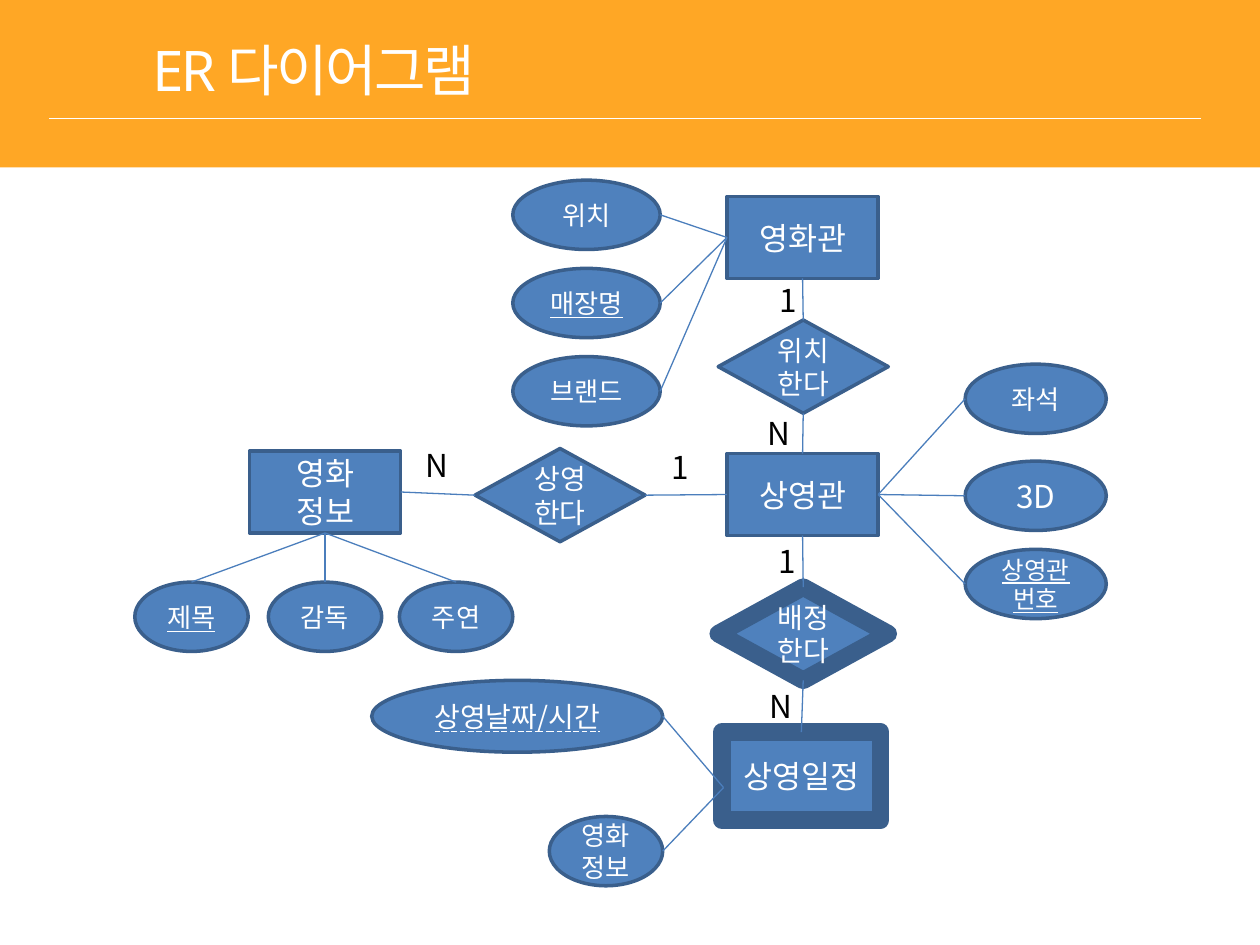
from lxml.etree import SubElement
from pptx import Presentation
from pptx.dml.color import RGBColor
from pptx.enum.shapes import MSO_CONNECTOR, MSO_SHAPE
from pptx.enum.text import MSO_ANCHOR, MSO_AUTO_SIZE, MSO_UNDERLINE, PP_ALIGN
from pptx.oxml.ns import qn
from pptx.util import Inches, Pt

ORANGE, BLUE, NAVY, LINK = "FFA725", "4F81BD", "3A5F8C", "4B7EBC"
WHITE, BLACK = "FFFFFF", "000000"
SANS, KOREAN = "Noto Sans", "Noto Sans CJK KR"
TITLE = "ER 다이어그램"
DASH = MSO_UNDERLINE.DASH_LINE

# key: (text, left, top); a newline starts a new paragraph
ENTITIES = {
    "theater": ("영화관", 5.77, 1.56),
    "hall": ("상영관", 5.77, 3.6),
    "movie": ("영화\n정보", 1.98, 3.58),
}
RELATIONS = {
    "located": ("위치한다", 5.7, 2.54),
    "shows": ("상영한다", 3.77, 3.56),
    "assigned": ("배정\n한다", 5.7, 4.66),
}
# key: (text, left, top, width, size, underline)
FIELDS = {
    "place": ("위치", 4.07, 1.43, 1.17, 15, None),
    "store": ("매장명", 4.07, 2.13, 1.17, 15, True),
    "brand": ("브랜드", 4.07, 2.83, 1.17, 15, None),
    "seat": ("좌석", 7.66, 2.89, 1.12, 15, None),
    "3d": ("3D", 7.66, 3.66, 1.12, 18, None),
    "number": ("상영관\n번호", 7.66, 4.36, 1.12, 14, True),
    "name": ("제목", 1.07, 4.62, 0.9, 15, True),
    "director": ("감독", 2.13, 4.62, 0.9, 15, None),
    "actor": ("주연", 3.17, 4.62, 0.9, 15, None),
    "date": ("상영날짜/시간", 2.95, 5.4, 2.31, 16, DASH),
    "info": ("영화정보", 4.36, 6.48, 0.9, 15, None),
}
# (from, side, to, side)
LINKS = [
    ("theater", "bottom", "located", "top"),
    ("located", "bottom", "hall", "top"),
    ("hall", "bottom", "assigned", "top"),
    ("assigned", "bottom", "schedule", "top"),
    ("movie", "right", "shows", "left"),
    ("shows", "right", "hall", "left"),
    *[(key, "right", "theater", "left") for key in ("place", "store", "brand")],
    *[("hall", "right", key, "left") for key in ("seat", "3d", "number")],
    *[("movie", "bottom", key, "top") for key in ("name", "director", "actor")],
    *[(key, "right", "schedule", "joint") for key in ("date", "info")],
]
COUNTS = [
    ("1", 6.12, 2.18), ("N", 6.02, 3.24), ("1", 5.26, 3.51), ("N", 3.31, 3.49),
    ("1", 6.11, 4.25), ("N", 6.04, 5.4),
]
SIDES = {"top": (0.5, 0), "bottom": (0.5, 1), "left": (0, 0.5), "right": (1, 0.5),
         "joint": (0.01, 0.63)}

prs = Presentation()
prs.slide_width, prs.slide_height = Inches(10), Inches(7.5)
slide = prs.slides.add_slide(prs.slide_layouts[6])
shapes = slide.shapes


def color(code):
    return RGBColor.from_string(code)


def write(frame, text, size, shade, face=KOREAN, align=PP_ALIGN.CENTER, under=None):
    frame.text = text
    for para in frame.paragraphs:
        para.alignment = align
        font = para.font
        font.size, font.name, font.underline = Pt(size), face, under
        font.color.rgb = color(shade)
        for run in para.runs:
            props = run._r.get_or_add_rPr()
            SubElement(props, qn("a:ea")).set("typeface", KOREAN)


def block(kind, box, fill, edge=None, width=2):
    shape = shapes.add_shape(kind, *map(Inches, box))
    shape.shadow.inherit = False
    shape.fill.solid()
    shape.fill.fore_color.rgb = color(fill)
    if edge:
        shape.line.color.rgb = color(edge)
        shape.line.width = Pt(width)
    else:
        shape.line.fill.background()
    return shape


def node(kind, text, box, size, width=2, under=None):
    shape = block(kind, box, BLUE, NAVY, width)
    frame = shape.text_frame
    frame.word_wrap = True
    frame.vertical_anchor = MSO_ANCHOR.MIDDLE
    write(frame, text, size, WHITE, under=under)
    return shape


def line(start, end, shade):
    link = shapes.add_connector(MSO_CONNECTOR.STRAIGHT, *start, *end)
    link.line.color.rgb = color(shade)
    link.line.width = Pt(0.75)
    SubElement(link._element.spPr, qn("a:effectLst"))


def point(shape, side):
    across, down = SIDES[side]
    return (int(shape.left + across * shape.width),
            int(shape.top + down * shape.height))


# Header
block(MSO_SHAPE.RECTANGLE, (0, 0, 10, 1.33), ORANGE)
head = shapes.add_textbox(*map(Inches, (1.02, 0.23, 2.94, 0.64))).text_frame
head.word_wrap = False
head.auto_size = MSO_AUTO_SIZE.SHAPE_TO_FIT_TEXT
write(head, TITLE, 32, WHITE, SANS)
head.paragraphs[0].runs[0]._r.get_or_add_rPr().set("spc", "-150")
line((Inches(0.39), Inches(0.94)), (Inches(9.53), Inches(0.94)), WHITE)

# Diagram
nodes = {"schedule": node(MSO_SHAPE.RECTANGLE, "상영일정", (5.73, 5.81, 1.26, 0.7), 18, 10)}
for key, (text, x, y) in ENTITIES.items():
    nodes[key] = node(MSO_SHAPE.RECTANGLE, text, (x, y, 1.2, 0.65), 18)
for key, (text, x, y) in RELATIONS.items():
    nodes[key] = node(MSO_SHAPE.FLOWCHART_DECISION, text, (x, y, 1.35, 0.74), 16,
                      10 if key == "assigned" else 2)
for key, (text, x, y, wide, size, under) in FIELDS.items():
    high = 0.57 if key == "date" else 0.55
    nodes[key] = node(MSO_SHAPE.OVAL, text, (x, y, wide, high), size, under=under)
for first, out, last, into in LINKS:
    line(point(nodes[first], out), point(nodes[last], into), LINK)

for text, x, y in COUNTS:
    wide = 0.16 if text == "1" else 0.23
    frame = shapes.add_textbox(*map(Inches, (x, y, wide, 0.4))).text_frame
    frame.word_wrap = True
    frame.margin_left, frame.margin_right = Inches(0.07), 0
    write(frame, text, 18, BLACK, align=PP_ALIGN.LEFT)

prs.save("out.pptx")
